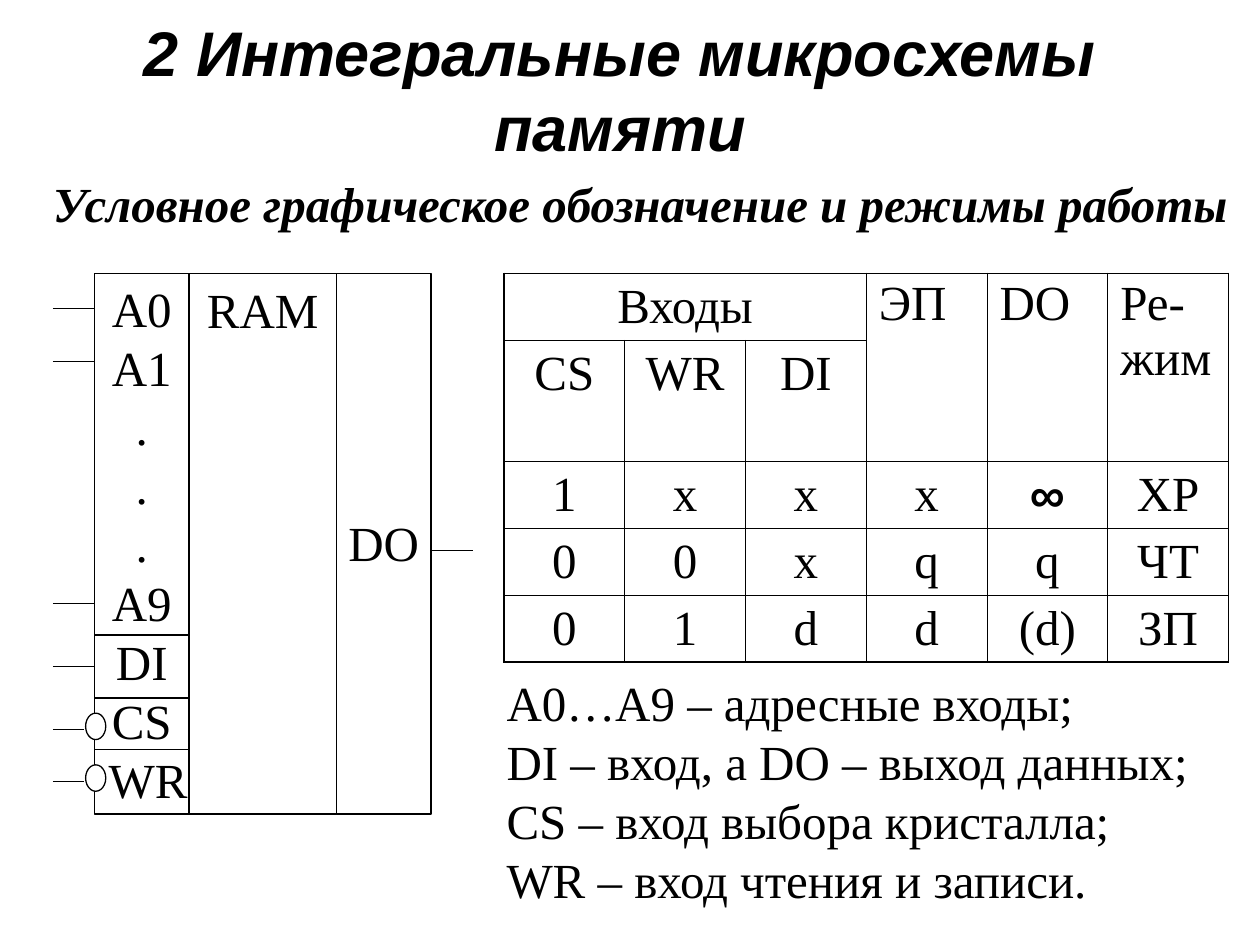
from lxml.etree import SubElement
from pptx import Presentation
from pptx.dml.color import RGBColor
from pptx.enum.shapes import MSO_CONNECTOR as Conn, MSO_SHAPE as Shape
from pptx.enum.text import MSO_ANCHOR as Anchor, PP_ALIGN as Align
from pptx.oxml import parse_xml
from pptx.oxml.ns import nsdecls, qn
from pptx.util import Inches, Pt

BLACK = RGBColor(0, 0, 0)
WHITE = RGBColor(255, 255, 255)
SERIF = "Times New Roman"
SANS = "Arial"
PLAIN = "{2D5ABB26-0587-4C30-8999-92F81FD0307C}"
HEAD = ["Входы", None, None, "ЭП", "DO", "Ре-\nжим"]
ROWS = [
    ["CS", "WR", "DI", None, None, None],
    ["1", "х", "х", "х", "∞", "ХР"],
    ["0", "0", "х", "q", "q", "ЧТ"],
    ["0", "1", "d", "d", "(d)", "ЗП"],
]
PINS = ["A0", "A1", ".", ".", ".", "A9", "DI", "CS", "WR"]
NOTES = [
    "А0…А9 – адресные входы;",
    "DI – вход, а DO – выход данных;",
    "CS – вход выбора кристалла;",
    "WR – вход чтения и записи.",
]


def add_run(para, text, size=28, face=SERIF, bold=False, slant=False):
    run = para.add_run()
    run.text = text
    font = run.font
    font.size = Pt(size)
    font.name = face
    font.bold = bold
    font.italic = slant
    font.color.rgb = BLACK


def fill_text(shape, lines, pad, align=Align.CENTER, anchor=Anchor.TOP, **style):
    frame = shape.text_frame
    frame.word_wrap = True
    frame.vertical_anchor = anchor
    frame.margin_left = frame.margin_right = Inches(pad[0])
    frame.margin_top, frame.margin_bottom = Inches(pad[1]), Inches(pad[2])
    for i, line in enumerate(lines):
        para = frame.add_paragraph() if i else frame.paragraphs[0]
        para.alignment = align
        add_run(para, line, **style)
    return frame


def add_text(slide, box, lines, pad, **style):
    shape = slide.shapes.add_textbox(*map(Inches, box))
    fill_text(shape, lines, pad, **style)


def add_block(slide, kind, box, solid=True):
    shape = slide.shapes.add_shape(kind, *map(Inches, box))
    shape.shadow.inherit = False
    if solid:
        shape.fill.solid()
        shape.fill.fore_color.rgb = WHITE
    else:
        shape.fill.background()
    shape.line.color.rgb = BLACK
    shape.line.width = Pt(0.75)
    return shape


def add_wire(slide, left, right, y):
    wire = slide.shapes.add_connector(
        Conn.STRAIGHT, Inches(left), Inches(y), Inches(right), Inches(y))
    wire.line.color.rgb = BLACK
    wire.line.width = Pt(0.75)
    SubElement(wire._element.spPr, qn("a:effectLst"))


def draw_chip(slide, box):
    x, y, w, h = box
    side, lead = 0.75, 0.33
    end = x + w
    core = add_block(slide, Shape.RECTANGLE, (x + side, y, w - 2 * side, h))
    fill_text(core, ["RAM"], (0.1, 0.05, 0.05))
    pins = add_block(slide, Shape.RECTANGLE, (x, y, side, h))
    frame = fill_text(pins, PINS, (0, 0.04, 0.04))
    frame.paragraphs[-1]._p.get_or_add_pPr().set("marL", str(Inches(0.1)))
    out = add_block(slide, Shape.RECTANGLE, (end - side, y, side, h), False)
    fill_text(out, ["DO"], (0, 1.9, 0.04))

    for drop in (2.87, 3.37, 3.78):
        add_wire(slide, x, x + side, y + drop)
    for drop in (0.28, 0.7, 2.62, 3.12):
        add_wire(slide, x - lead, x, y + drop)
    for drop in (3.62, 4.03):
        add_wire(slide, x - lead, x - 0.08, y + drop)
        add_block(slide, Shape.OVAL, (x - 0.07, y + drop - 0.13, 0.16, 0.21))
    add_wire(slide, end, end + lead, y + 2.2)


def set_edges(cell, outer):
    props = cell._tc.get_or_add_tcPr()
    for i, (side, thick) in enumerate(zip("LRTB", outer)):
        width = Pt(1.08 if thick else 0.45)
        props.insert(i, parse_xml(
            f'<a:ln{side} {nsdecls("a")} w="{width}"><a:solidFill>'
            f'<a:srgbClr val="{BLACK}"/></a:solidFill></a:ln{side}>'))


def draw_modes(slide, box):
    data = [HEAD] + ROWS
    rows, cols = len(data), len(HEAD)
    table = slide.shapes.add_table(rows, cols, *map(Inches, box)).table
    table._tbl.tblPr.find(qn("a:tableStyleId")).text = PLAIN
    table.first_row = table.horz_banding = False
    for col in table.columns:
        col.width = Inches(box[2] / cols)
    for i, row in enumerate(table.rows):
        row.height = Inches(0.96 if i == 1 else 0.53)
    table.cell(0, 0).merge(table.cell(0, 2))
    for c in range(3, cols):
        table.cell(0, c).merge(table.cell(1, c))
    for r, line in enumerate(data):
        for c, text in enumerate(line):
            cell = table.cell(r, c)
            cell.fill.background()
            if text is None:
                continue
            tall = r == 0 and c > 2
            cell.margin_left = cell.margin_right = Inches(0.1)
            cell.margin_top = Inches(0.03 if tall else 0.05)
            cell.margin_bottom = 0
            para = cell.text_frame.paragraphs[0]
            para.alignment = Align.LEFT if tall else Align.CENTER
            sign = text == "∞"
            for i, part in enumerate(text.split("\n")):
                if i:
                    para.add_line_break()
                add_run(para, part, face=SANS if sign else SERIF, bold=sign)
            set_edges(cell, (c == 0, c == cols - 1, r == 0, r == rows - 1))


def main():
    deck = Presentation()
    deck.slide_width, deck.slide_height = Inches(10), Inches(7.5)
    slide = deck.slides.add_slide(deck.slide_layouts[6])
    add_text(slide, (0.67, 0.08, 8.5, 1.25), ["2 Интегральные микросхемы памяти"],
             (0.1, 0.05, 0.05), anchor=Anchor.MIDDLE,
             size=36, face=SANS, bold=True, slant=True)
    add_text(slide, (0.08, 1.33, 10, 0.83),
             ["Условное графическое обозначение и режимы работы"],
             (0.1, 0.05, 0.05), bold=True, slant=True)
    add_text(slide, (4, 5.33, 5.75, 2.08), NOTES, (0.02, 0.01, 0.01),
             align=Align.LEFT)
    draw_chip(slide, (0.75, 2.17, 2.67, 4.29))
    draw_modes(slide, (4, 2.17, 5.75, 3.08))
    deck.save("out.pptx")


if __name__ == "__main__":
    main()
